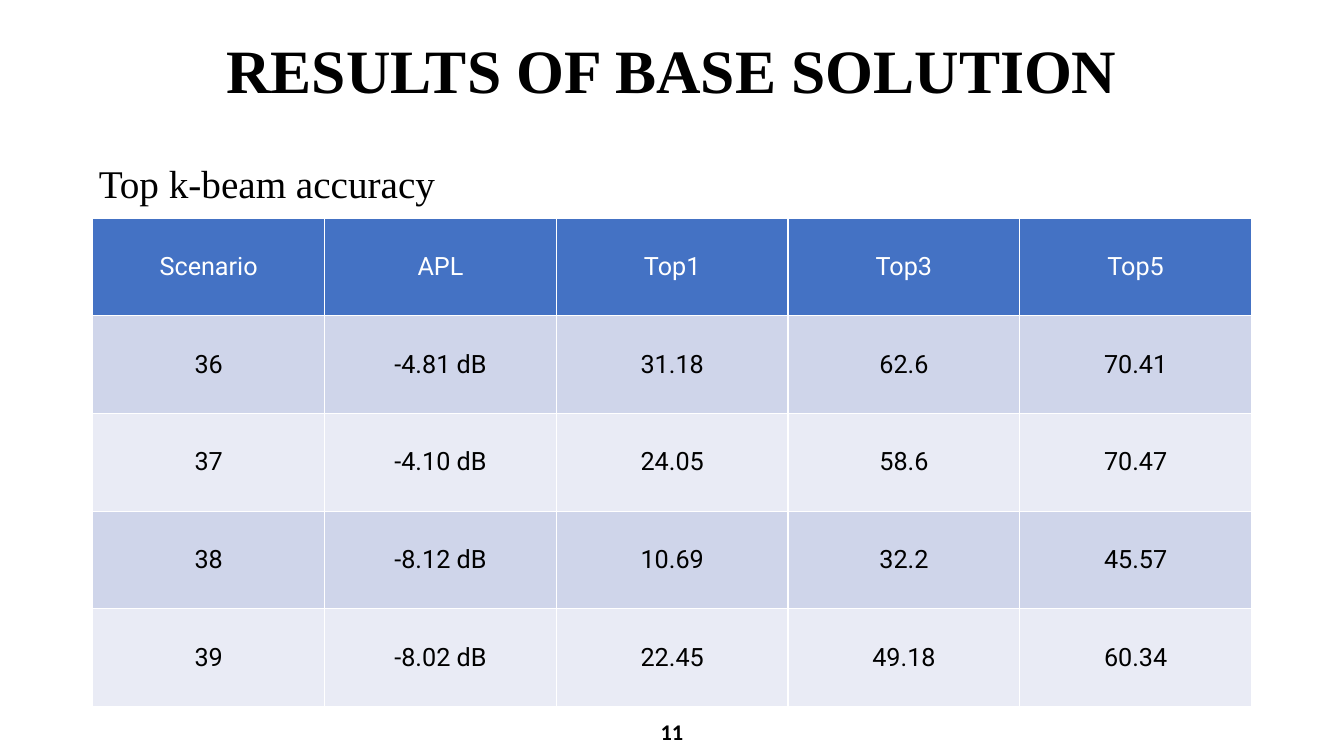
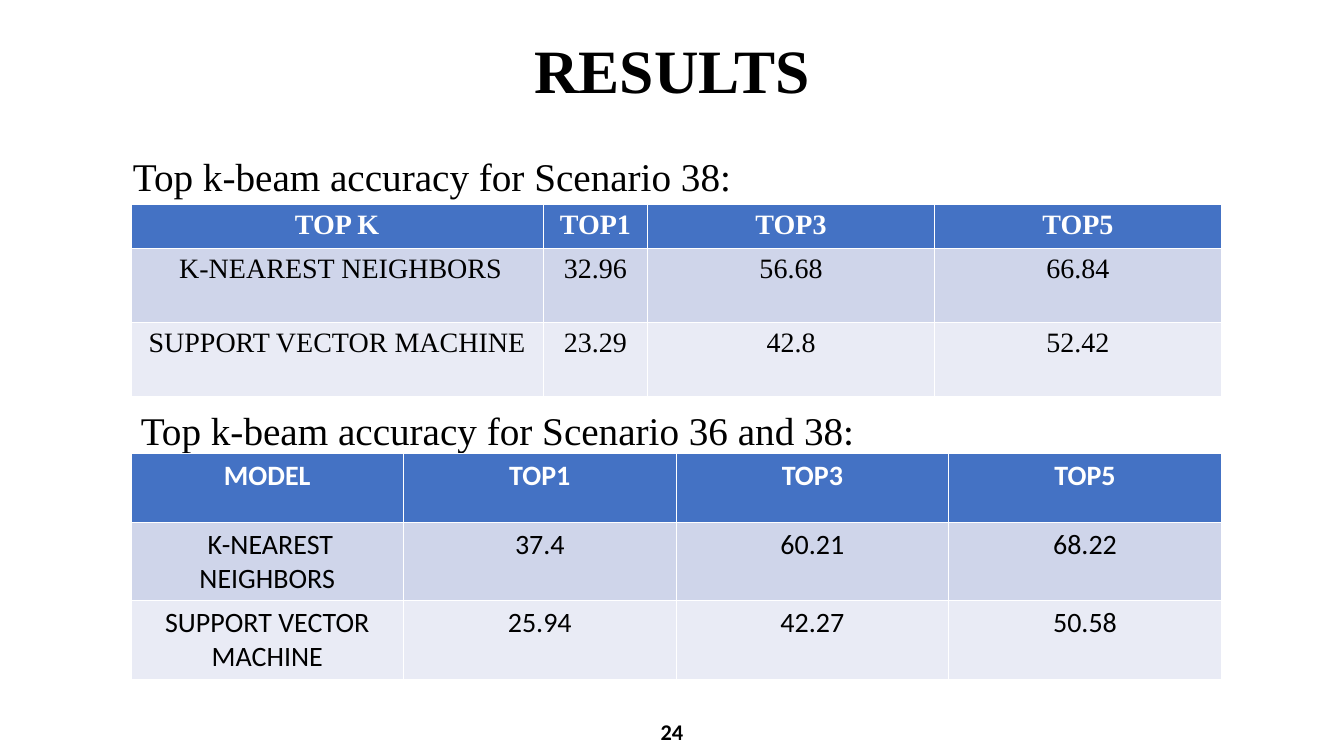
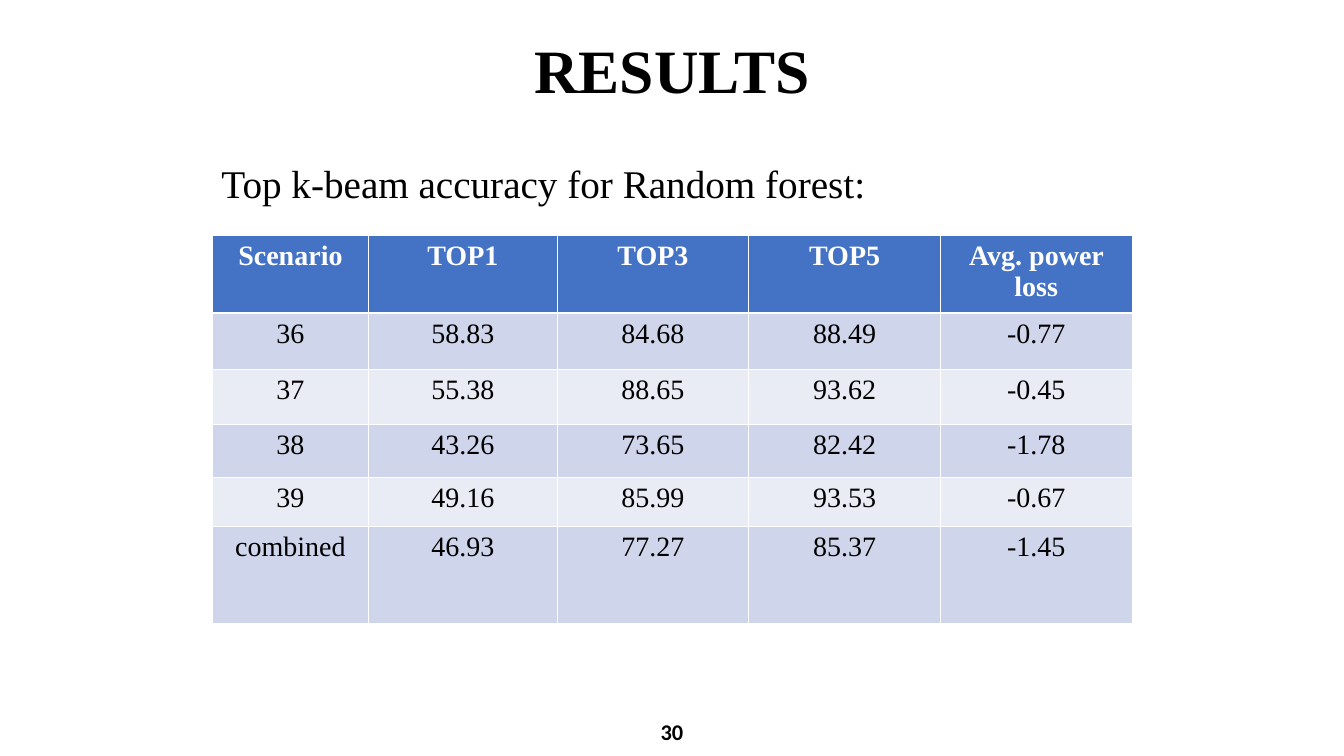
from pptx import Presentation
from pptx.dml.color import RGBColor
from pptx.enum.text import MSO_ANCHOR, MSO_AUTO_SIZE, PP_ALIGN
from pptx.util import Cm, Pt

SLIDE_WIDTH, SLIDE_HEIGHT = 33.87, 19.05
TITLE_ONLY_LAYOUT = 5
SERIF, SANS, TABLE_SANS = "Times New Roman", "Calibri", "Roboto"
BLACK, WHITE = "000000", "FFFFFF"
HEADER_FILL = "4472C4"
BAND_FILLS = ("CFD5EA", "E9EBF5")


def color(hex_code):
    return RGBColor.from_string(hex_code)


def style_font(font, name, size, hex_code=BLACK, bold=False):
    font.name = name
    font.size = Pt(size)
    font.bold = bold
    font.color.rgb = color(hex_code)


class Deck:
    """Holds the shared style and the slide being filled."""

    def __init__(self):
        self.presentation = Presentation()
        self.presentation.slide_width = Cm(SLIDE_WIDTH)
        self.presentation.slide_height = Cm(SLIDE_HEIGHT)
        self.slide = None

    def add_slide(self, title, number):
        layout = self.presentation.slide_layouts[TITLE_ONLY_LAYOUT]
        self.slide = self.presentation.slides.add_slide(layout)
        self.add_title(title)
        self.add_number(number)

    def add_title(self, text):
        shape = self.slide.shapes.title
        shape.left, shape.top = Cm(0), Cm(0)
        shape.width, shape.height = Cm(SLIDE_WIDTH), Cm(3.7)
        frame = shape.text_frame
        frame.text = text
        frame.auto_size = MSO_AUTO_SIZE.NONE
        frame.vertical_anchor = MSO_ANCHOR.MIDDLE
        paragraph = frame.paragraphs[0]
        paragraph.alignment = PP_ALIGN.CENTER
        paragraph.line_spacing = 0.9
        style_font(paragraph.font, SERIF, 44, bold=True)

    def add_text(self, text, left, top, width, height):
        """Add a wrapping one-paragraph text box and return its frame."""
        box = self.slide.shapes.add_textbox(Cm(left), Cm(top), Cm(width), Cm(height))
        frame = box.text_frame
        frame.word_wrap = True
        frame.text = text
        return frame

    def add_number(self, number):
        frame = self.add_text(str(number), 0, 17.83, SLIDE_WIDTH, 1.22)
        frame.vertical_anchor = MSO_ANCHOR.MIDDLE
        paragraph = frame.paragraphs[0]
        paragraph.alignment = PP_ALIGN.CENTER
        style_font(paragraph.font, SANS, 16, bold=True)

    def add_caption(self, text, left, top, width):
        frame = self.add_text(text, left, top, width, 1.45)
        paragraph = frame.paragraphs[0]
        style_font(paragraph.font, SERIF, 28)
        return paragraph

    def add_table(self, rows, left, top, widths, heights, font_name=SERIF,
                  size=20, bold_header=True, anchor=MSO_ANCHOR.TOP):
        """Add a table with a header row; widths and heights are in cm."""
        table = self.slide.shapes.add_table(
            len(rows), len(widths), Cm(left), Cm(top),
            Cm(sum(widths)), Cm(sum(heights))).table
        for column, width in zip(table.columns, widths):
            column.width = Cm(width)
        for row_index, (row, texts) in enumerate(zip(table.rows, rows)):
            row.height = Cm(heights[row_index])
            is_header = row_index == 0
            fill = HEADER_FILL if is_header else BAND_FILLS[(row_index - 1) % 2]
            for cell, text in zip(row.cells, texts):
                cell.text = text
                cell.vertical_anchor = anchor
                cell.fill.solid()
                cell.fill.fore_color.rgb = color(fill)
                paragraph = cell.text_frame.paragraphs[0]
                paragraph.alignment = PP_ALIGN.CENTER
                style_font(paragraph.font, font_name, size,
                           WHITE if is_header else BLACK, is_header and bold_header)

    def save(self):
        self.presentation.save("out.pptx")


def add_base_solution(deck):
    deck.add_slide("RESULTS OF BASE SOLUTION", 11)
    deck.add_caption("Top k-beam accuracy", 2.24, 3.89, 11.28)
    rows = [
        ("Scenario", "APL", "Top1", "Top3", "Top5"),
        ("36", "-4.81 dB", "31.18", "62.6", "70.41"),
        ("37", "-4.10 dB", "24.05", "58.6", "70.47"),
        ("38", "-8.12 dB", "10.69", "32.2", "45.57"),
        ("39", "-8.02 dB", "22.45", "49.18", "60.34"),
    ]
    deck.add_table(rows, 2.34, 5.5, [5.84] * 5, [2.46] * 5, font_name=TABLE_SANS,
                   size=18, bold_header=False, anchor=MSO_ANCHOR.MIDDLE)


def add_model_comparison(deck):
    deck.add_slide("RESULTS", 24)
    neighbors, vector_machine = " K-NEAREST NEIGHBORS", "SUPPORT VECTOR MACHINE"
    ranks = ("TOP1", "TOP3", "TOP5")

    deck.add_caption("Top k-beam accuracy for Scenario 38:", 3.1, 3.71, 24.7)
    single_scenario = [
        ("TOP K", *ranks),
        (neighbors, "32.96", "56.68", "66.84"),
        (vector_machine, "23.29", "42.8", "52.42"),
    ]
    deck.add_table(single_scenario, 3.3, 5.16, [10.39, 2.63, 7.23, 7.23],
                   [1.07, 1.87, 1.87])

    caption = deck.add_caption("Top k-beam accuracy for Scenario 36 and 38",
                               3.3, 10.11, 27.48)
    colon = caption.add_run()
    colon.text = ":"
    colon.font.name = SANS
    both_scenarios = [
        ("MODEL", *ranks),
        (neighbors, "37.4", "60.21", "68.22"),
        (vector_machine, "25.94", "42.27", "50.58"),
    ]
    deck.add_table(both_scenarios, 3.3, 11.43, [6.87] * 4, [1.73, 1.98, 1.98],
                   font_name=SANS)


def add_random_forest(deck):
    deck.add_slide("RESULTS", 30)
    deck.add_caption("Top k-beam accuracy for Random forest:", 5.33, 3.89, 24.7)
    rows = [
        ("Scenario", "TOP1", "TOP3", "TOP5", "Avg. power loss"),
        ("36", "58.83", "84.68", "88.49", "-0.77"),
        ("37", "55.38", "88.65", "93.62", "-0.45"),
        ("38", "43.26", "73.65", "82.42", "-1.78"),
        ("39", "49.16", "85.99", "93.53", "-0.67"),
        ("combined", "46.93", "77.27", "85.37", "-1.45"),
    ]
    deck.add_table(rows, 5.35, 5.94, [3.94, 4.75, 4.83, 4.83, 4.83],
                   [1.83, 1.42, 1.38, 1.34, 1.24, 2.44])


def main():
    deck = Deck()
    add_base_solution(deck)
    add_model_comparison(deck)
    add_random_forest(deck)
    deck.save()


if __name__ == "__main__":
    main()
